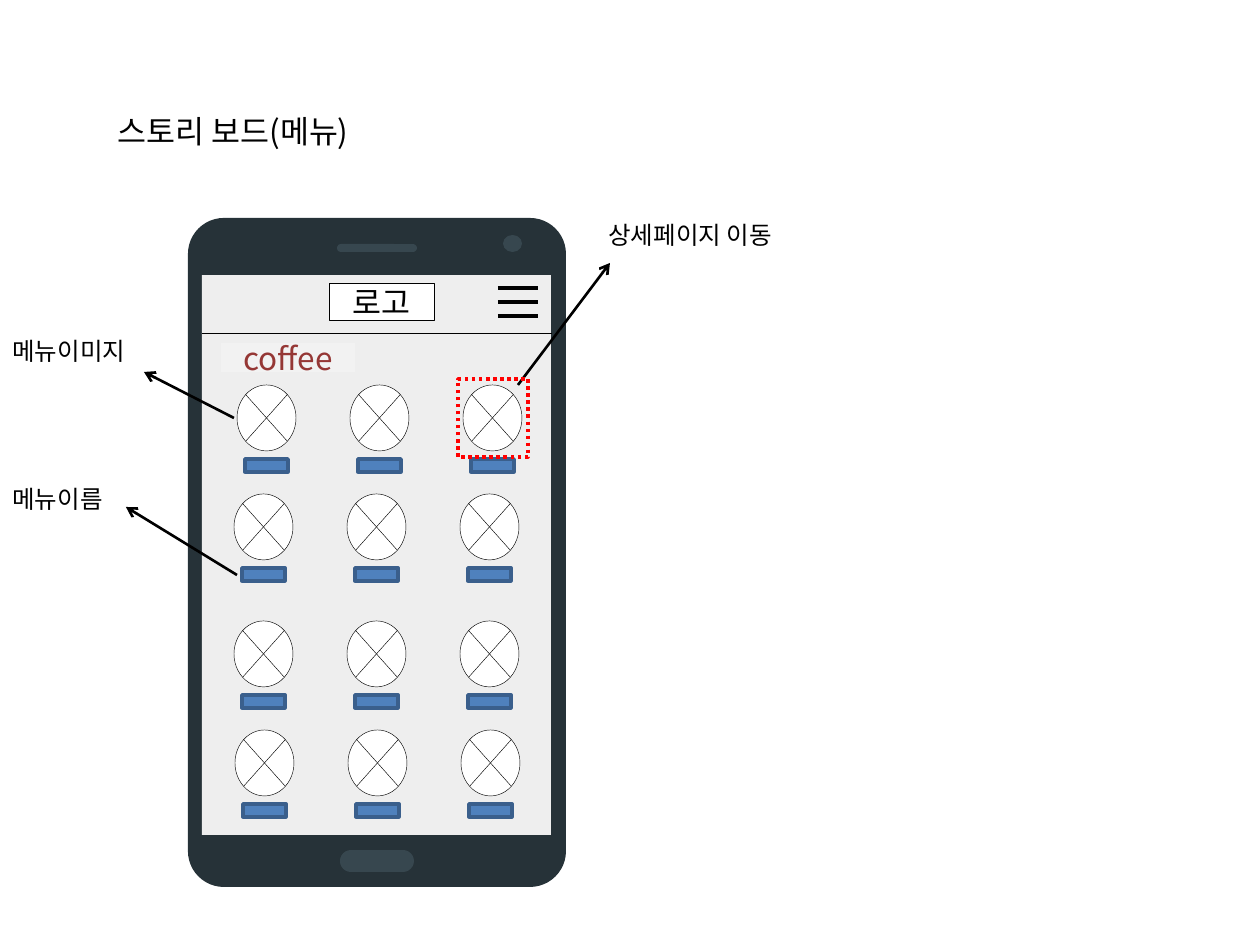
from pptx import Presentation, util as u
from pptx.dml.color import RGBColor
from pptx.enum import dml, shapes, text
from pptx.oxml.ns import qn
from lxml import etree

SCALE = 914400 // 126
FONT = "Noto Sans CJK KR"
FORM = shapes.MSO_SHAPE
COLORS = {
    "black": "000000", "white": "FFFFFF", "body": "263238", "trim": "37474F",
    "screen": "EEEEEE", "band": "F2F2F2", "coffee": "953735",
    "label": "4F81BD", "edge": "3A5F8C", "red": "FF0000",
}


def px(*nums):
    return [u.Emu(n * SCALE) for n in nums]


def color(name):
    return RGBColor.from_string(COLORS[name])


def write(frame, words, size, ink="black"):
    run = frame.paragraphs[0].add_run()
    run.text = words
    run.font.size = u.Pt(size)
    run.font.name = FONT
    run.font.color.rgb = color(ink)
    props = run._r.get_or_add_rPr()
    etree.SubElement(props, qn("a:ea")).set("typeface", FONT)


def note(slide, box, words, size):
    frame = slide.shapes.add_textbox(*px(*box)).text_frame
    frame.word_wrap = True
    write(frame, words, size)


def shape(slide, form, box, fill=None, edge=None, width=0.25, round=None):
    item = slide.shapes.add_shape(form, *px(*box))
    item.shadow.inherit = False
    if fill:
        item.fill.solid()
        item.fill.fore_color.rgb = color(fill)
    else:
        item.fill.background()
    if edge:
        item.line.color.rgb = color(edge)
        item.line.width = u.Pt(width)
    else:
        item.line.fill.background()
    if round is not None:
        item.adjustments[0] = round
    return item


def label(item, words, ink):
    frame = item.text_frame
    frame.vertical_anchor = text.MSO_ANCHOR.MIDDLE
    frame.margin_top = frame.margin_bottom = 0
    frame.paragraphs[0].alignment = text.PP_ALIGN.CENTER
    write(frame, words, 18, ink)


def line(slide, ends, width, arrow=False):
    item = slide.shapes.add_connector(shapes.MSO_CONNECTOR.STRAIGHT, *px(*ends))
    item.line.color.rgb = color("black")
    item.line.width = u.Pt(width)
    if arrow:
        tail = etree.SubElement(item.line._get_or_add_ln(), qn("a:tailEnd"))
        tail.set("type", "arrow")
    etree.SubElement(item._element.spPr, qn("a:effectLst"))


def phone(slide):
    shape(slide, FORM.ROUNDED_RECTANGLE, (188, 218, 378, 669), "body", round=0.095)
    for box in ((340, 850, 74, 22), (337, 244, 80, 8)):
        shape(slide, FORM.ROUNDED_RECTANGLE, box, "trim", round=0.5)
    shape(slide, FORM.OVAL, (503, 235, 19, 17), "trim")
    shape(slide, FORM.RECTANGLE, (202, 275, 349, 560), "screen")


def header(slide):
    logo = shape(slide, FORM.RECTANGLE, (329, 283, 105, 37), "white", "black")
    label(logo, "로고", "black")
    for row in range(3):
        top = 288 + 14 * row
        line(slide, (498, top, 538, top), 2.25)
    line(slide, (202, 333, 552, 333), 0.5)
    coffee = shape(slide, FORM.RECTANGLE, (221, 343, 134, 29), "band")
    label(coffee, "coffee", "coffee")


def menu(slide):
    for start, top in ((237, 385), (234, 494), (234, 621), (235, 730)):
        for col in range(3):
            left = start + 113 * col
            shape(slide, FORM.FLOWCHART_SUMMING_JUNCTION,
                  (left, top, 59, 66), "white", "black")
            shape(slide, FORM.RECTANGLE, (left + 8, top + 74, 43, 13),
                  "label", "edge", 2)


def main():
    deck = Presentation()
    deck.slide_width, deck.slide_height = u.Inches(10), u.Inches(7.5)
    slide = deck.slides.add_slide(deck.slide_layouts[6])
    note(slide, (105, 106, 270, 50), "스토리 보드(메뉴)", 18)
    note(slide, (596, 214, 207, 43), "상세페이지 이동", 14)
    note(slide, (0, 330, 207, 43), "메뉴이미지", 14)
    note(slide, (0, 478, 125, 43), "메뉴이름", 14)
    phone(slide)
    header(slide)
    menu(slide)
    for ends in ((518, 385, 610, 263), (234, 418, 144, 372), (237, 575, 126, 507)):
        line(slide, ends, 1.5, arrow=True)
    focus = shape(slide, FORM.RECTANGLE, (458, 379, 70, 78), edge="red", width=2)
    focus.line.dash_style = dml.MSO_LINE.ROUND_DOT
    deck.save("out.pptx")


main()
